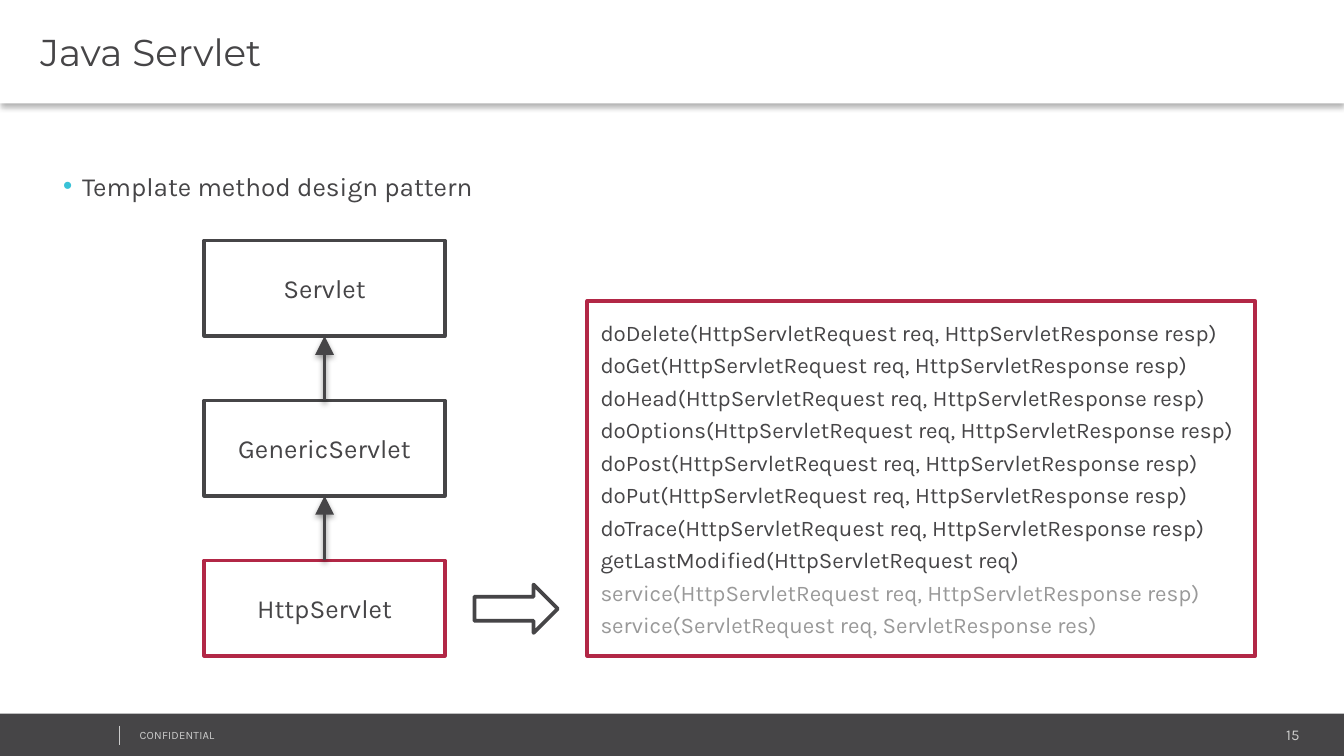
from lxml import etree
from pptx import Presentation
from pptx.dml import color
from pptx.enum import shapes, text
from pptx.oxml import ns, parse_xml
from pptx.util import Inches, Pt

DARK, RED, WHITE, PALE, FADED = "464547", "B22746", "FFFFFF", "CCCCCC", "999999"


def rgb(value):
    return color.RGBColor.from_string(value)


def write(box, lines, size=14, font="Karla", fill=DARK, align=text.PP_ALIGN.LEFT,
          anchor=text.MSO_ANCHOR.MIDDLE, margins=(0.1, 0.05, 0.1, 0.05),
          after=0, spacing=1.0, bullet=None, tracking=None):
    frame = box.text_frame
    frame.word_wrap = True
    frame.auto_size = text.MSO_AUTO_SIZE.NONE
    frame.vertical_anchor = anchor
    (frame.margin_left, frame.margin_top,
     frame.margin_right, frame.margin_bottom) = [Inches(m) for m in margins]
    for index, line in enumerate(lines):
        para = frame.add_paragraph() if index else frame.paragraphs[0]
        para.alignment = align
        para.line_spacing = spacing
        para.space_before, para.space_after = Pt(0), Pt(after)
        if bullet:
            props = para._p.get_or_add_pPr()
            props.set("marL", str(Inches(0.14)))
            props.set("indent", str(-Inches(0.14)))
            tint = etree.SubElement(props, ns.qn("a:buClr"))
            etree.SubElement(tint, ns.qn("a:srgbClr"), val=bullet)
            etree.SubElement(props, ns.qn("a:buChar"), char="•")
        span = para.add_run()
        span.text = line
        span.font.size, span.font.name = Pt(size), font
        span.font.color.rgb = rgb(fill)
        if tracking:
            span._r.get_or_add_rPr().set("spc", str(tracking))


# A 16:9 page
deck = Presentation()
deck.slide_width = Inches(10)
deck.slide_height = Inches(10) * 9 // 16
page = deck.slides.add_slide(deck.slide_layouts[1])
title, body = page.placeholders[0], page.placeholders[1]
SLIM = (0.08, 0.04, 0.08, 0.04)

# Footer bar with divider, label and page number
footer = page.shapes.add_shape(shapes.MSO_SHAPE.RECTANGLE, Inches(0), Inches(5.31),
                               Inches(10.01), Inches(0.33))
footer.shadow.inherit = False
footer.fill.solid()
footer.fill.fore_color.rgb = rgb(DARK)
footer.line.fill.background()

number = page.shapes.add_textbox(Inches(8.12), Inches(5.36), Inches(1.63), Inches(0.21))
write(number, ["15"], size=8, fill=PALE, align=text.PP_ALIGN.RIGHT,
      anchor=text.MSO_ANCHOR.TOP, margins=SLIM)
label = page.shapes.add_textbox(Inches(0.96), Inches(5.38), Inches(2.53), Inches(0.18))
write(label, ["CONFIDENTIAL"], size=6, fill=PALE, anchor=text.MSO_ANCHOR.TOP,
      margins=SLIM, tracking=10)

divider = page.shapes.add_connector(shapes.MSO_CONNECTOR.STRAIGHT, Inches(0.89),
                                    Inches(5.4), Inches(0.89), Inches(5.54))
divider.line.color.rgb = rgb(PALE)
divider.line.width = Pt(0.25)
etree.SubElement(divider._element.spPr, ns.qn("a:effectLst"))

# Title band and bullet list
title.left, title.top, title.width, title.height = 0, 0, Inches(10), Inches(0.77)
title.fill.solid()
title.fill.fore_color.rgb = rgb(WHITE)
write(title, ["Java Servlet"], size=20, font="Montserrat", margins=(0.3, 0.04, 0.07, 0.04))

body.left, body.top, body.width, body.height = [Inches(v) for v in (0.39, 1.18, 9.12, 3.7)]
write(body, ["Template method design pattern"], anchor=text.MSO_ANCHOR.TOP,
      margins=SLIM, after=7.5, spacing=1.2, bullet="39C2D7")

# Class boxes, method panel and block arrow
RECT, ARROW = shapes.MSO_SHAPE.RECTANGLE, shapes.MSO_SHAPE.RIGHT_ARROW
classes = ["Servlet", "GenericServlet", "HttpServlet"]
outlines = [(RECT, 1.52, 1.79 + 1.19 * row, 1.79, 0.71, RED if row == 2 else DARK)
            for row in range(len(classes))]
outlines += [(RECT, 4.37, 2.24, 4.97, 2.64, RED), (ARROW, 3.53, 4.35, 0.62, 0.36, DARK)]
boxes = []
for kind, left, top, width, height, edge in outlines:
    box = page.shapes.add_shape(kind, Inches(left), Inches(top), Inches(width), Inches(height))
    box.shadow.inherit = False
    box.fill.solid()
    box.fill.fore_color.rgb = rgb(WHITE)
    box.line.color.rgb = rgb(edge)
    box.line.width = Pt(2)
    boxes.append(box)
class_boxes, panel = boxes[:3], boxes[3]

for box, name in zip(class_boxes, classes):
    write(box, [name], align=text.PP_ALIGN.CENTER)

handlers = ["doDelete", "doGet", "doHead", "doOptions", "doPost", "doPut", "doTrace"]
pair = "(HttpServletRequest req, HttpServletResponse resp)"
methods = [name + pair for name in handlers]
methods += ["getLastModified(HttpServletRequest req)", "service" + pair,
            "service(ServletRequest req, ServletResponse res)"]
write(panel, methods, size=12, after=3)
for para in panel.text_frame.paragraphs[-2:]:
    para.runs[0].font.color.rgb = rgb(FADED)

# Inheritance arrows, from each class up to its parent
shadowed = [(title, 30, 2)]
for parent, child in zip(class_boxes, class_boxes[1:]):
    arrow = page.shapes.add_connector(shapes.MSO_CONNECTOR.STRAIGHT, 0, 0, 0, 0)
    arrow.begin_connect(child, 0)
    arrow.end_connect(parent, 2)
    arrow.line.color.rgb = rgb(DARK)
    arrow.line.width = Pt(2)
    etree.SubElement(arrow.line._get_or_add_ln(), ns.qn("a:tailEnd"),
                     type="triangle", w="lg", len="lg")
    shadowed.append((arrow, 38, 1.6))

# Soft shadows below the title band and the arrows
for item, opacity, distance in shadowed:
    item._element.spPr.append(parse_xml(
        f'<a:effectLst {ns.nsdecls("a")}><a:outerShdw blurRad="{Pt(3.1)}" '
        f'dist="{Pt(distance)}" dir="5400000" rotWithShape="0"><a:srgbClr val="000000">'
        f'<a:alpha val="{opacity * 1000}"/></a:srgbClr></a:outerShdw></a:effectLst>'))

deck.save("out.pptx")
